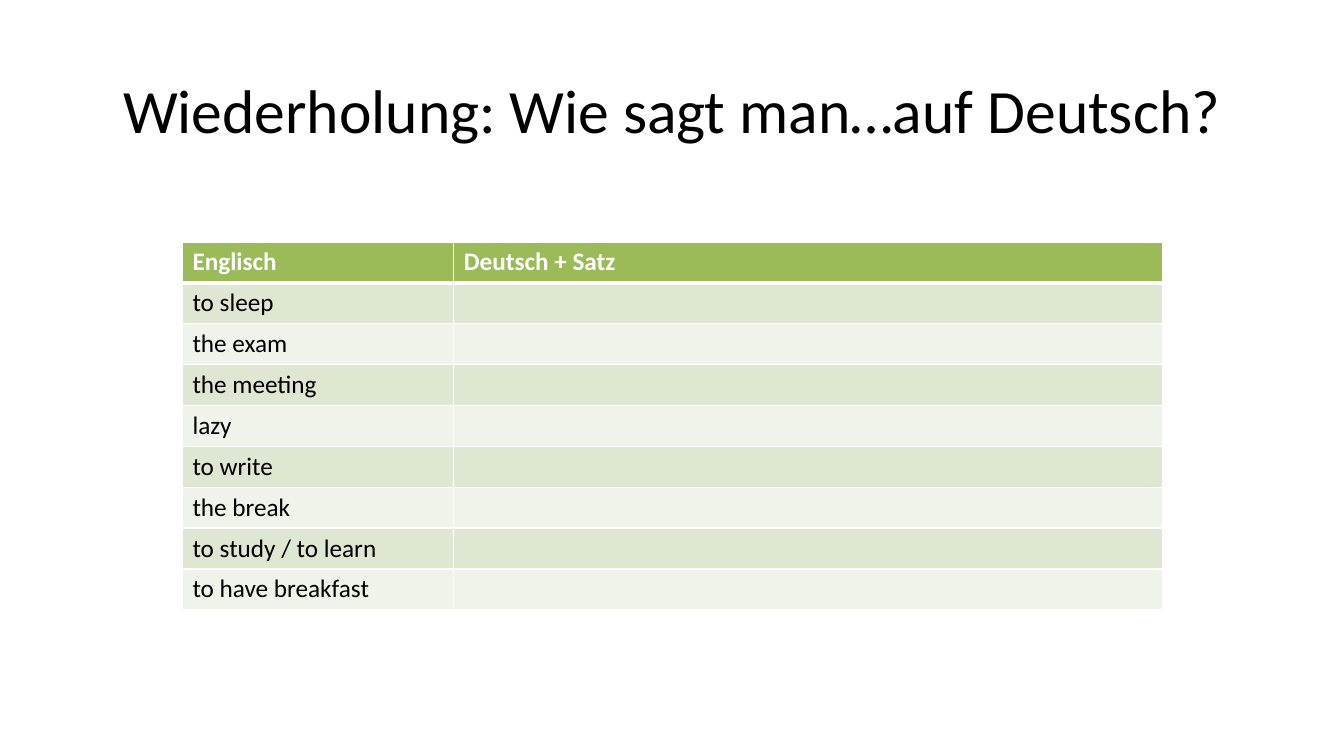
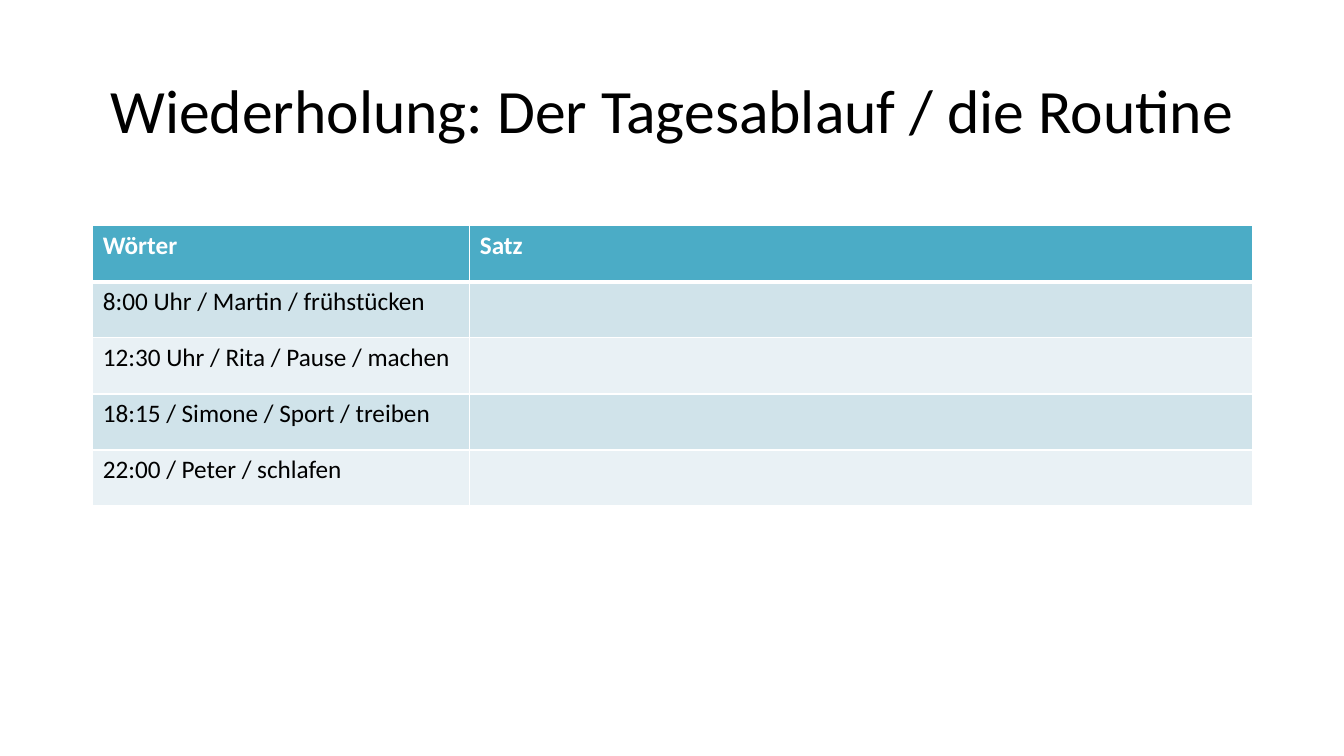
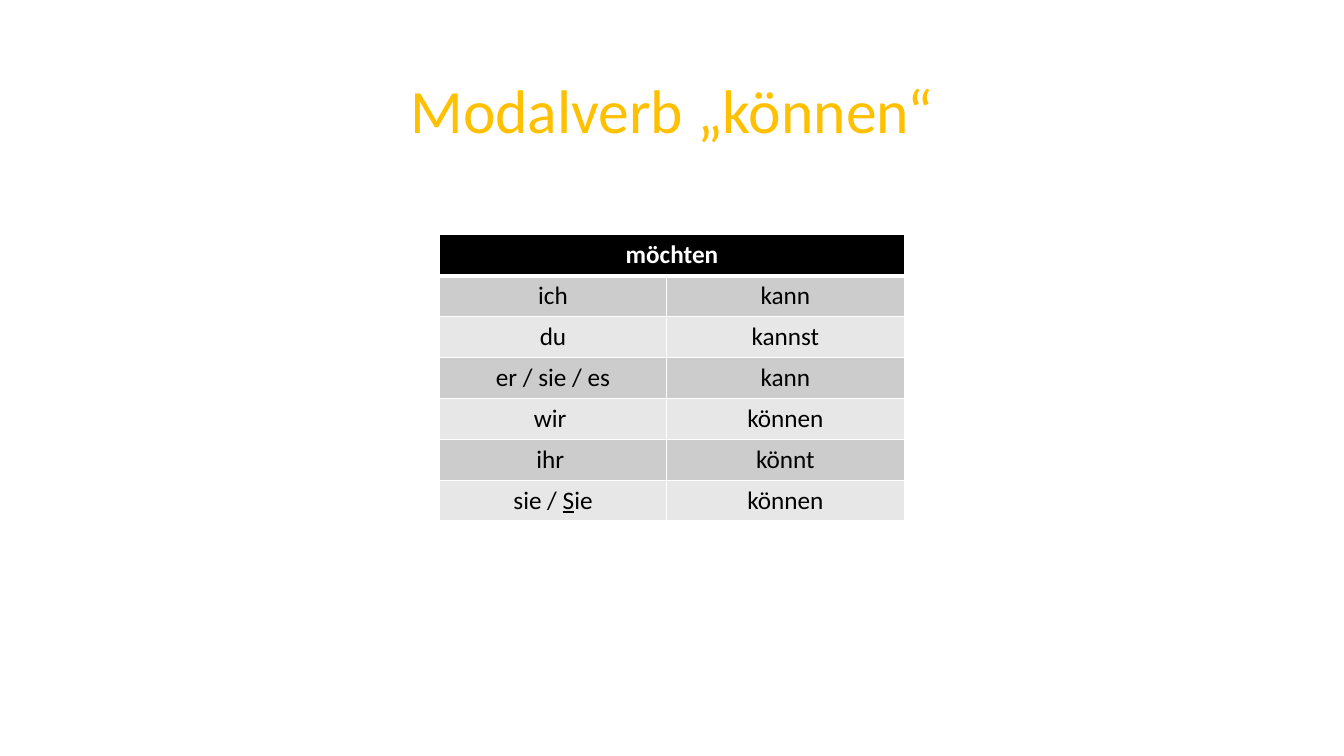
from lxml import etree
from pptx import Presentation
from pptx.dml.color import RGBColor
from pptx.enum.text import MSO_ANCHOR, PP_ALIGN
from pptx.oxml.ns import qn
from pptx.util import Pt

PX = 9144  # EMU: 100 px to the inch
LEFT, CENTER = PP_ALIGN.LEFT, PP_ALIGN.CENTER
MIDDLE = MSO_ANCHOR.MIDDLE

FONT = "Calibri"
TITLE_SIZE, CELL_SIZE = 44, 18
TITLE_BOX = (92, 40, 1150, 145)
TITLE_ONLY = 5
THIN, THICK = 1, 3

BLACK = RGBColor(0x00, 0x00, 0x00)
WHITE = RGBColor(0xFF, 0xFF, 0xFF)
GOLD = RGBColor(0xFF, 0xC0, 0x00)

# Table palettes: header, odd rows, even rows
GREEN = (RGBColor(0x9B, 0xBB, 0x59), RGBColor(0xDE, 0xE7, 0xD1), RGBColor(0xEF, 0xF3, 0xEA))
AQUA = (RGBColor(0x4B, 0xAC, 0xC6), RGBColor(0xD0, 0xE3, 0xEA), RGBColor(0xE9, 0xF1, 0xF5))
GREY = (BLACK, RGBColor(0xCC, 0xCC, 0xCC), RGBColor(0xE7, 0xE7, 0xE7))

ENGLISH_WORDS = ["to sleep", "the exam", "the meeting", "lazy", "to write",
                 "the break", "to study / to learn", "to have breakfast"]
ROUTINE_PROMPTS = ["8:00 Uhr / Martin / frühstücken", "12:30 Uhr / Rita / Pause / machen",
                   "18:15 / Simone / Sport / treiben", "22:00 / Peter / schlafen"]
# The part between underscores is underlined
CONJUGATION = [("ich", "kann"), ("du", "kannst"), ("er / sie / es", "kann"),
               ("wir ", "können"), ("ihr ", "könnt"), ("sie / _S_ie", "können")]


def add_run(paragraph, text, size, color, bold=False, underline=False):
    run = paragraph.add_run()
    run.text = text
    font = run.font
    font.name, font.size, font.bold = FONT, Pt(size), bold
    font.color.rgb = color
    if underline:
        font.underline = True


def place(shape, box):
    shape.left, shape.top, shape.width, shape.height = (length * PX for length in box)


def add_titled_slide(prs, title, color=BLACK):
    slide = prs.slides.add_slide(prs.slide_layouts[TITLE_ONLY])
    heading = slide.shapes.title
    place(heading, TITLE_BOX)
    frame = heading.text_frame
    frame.vertical_anchor = MIDDLE
    paragraph = frame.paragraphs[0]
    paragraph.alignment = CENTER
    paragraph.line_spacing = 0.9
    add_run(paragraph, title, TITLE_SIZE, color)
    return slide


def set_borders(cell, top, bottom):
    """Draw white edges; they must come before the fill in the cell properties."""
    properties = cell._tc.get_or_add_tcPr()
    edges = (("a:lnL", THIN), ("a:lnR", THIN), ("a:lnT", top), ("a:lnB", bottom))
    for position, (tag, width) in enumerate(edges):
        line = etree.Element(qn(tag), w=str(Pt(width)))
        fill = etree.SubElement(line, qn("a:solidFill"))
        etree.SubElement(fill, qn("a:srgbClr"), val=str(WHITE))
        properties.insert(position, line)


def fill_cell(cell, text, row, palette, align):
    header = row == 0
    cell.fill.solid()
    cell.fill.fore_color.rgb = palette[0] if header else palette[2 - row % 2]
    set_borders(cell, THICK if row == 1 else THIN, THICK if header else THIN)
    paragraph = cell.text_frame.paragraphs[0]
    paragraph.alignment = align
    for part, piece in enumerate(text.split("_")):
        if piece:
            add_run(paragraph, piece, CELL_SIZE, WHITE if header else BLACK,
                    bold=header, underline=part % 2 == 1)


def add_word_table(slide, box, first_width, rows, palette, align=LEFT):
    """Two columns; a header row with one entry spans both."""
    left, top, width, height = (length * PX for length in box)
    table = slide.shapes.add_table(len(rows), 2, left, top, width, height).table
    table.columns[0].width = first_width * PX
    table.columns[1].width = width - first_width * PX
    if len(rows[0]) == 1:
        table.cell(0, 0).merge(table.cell(0, 1))
    for row, texts in enumerate(rows):
        table.rows[row].height = height // len(rows)
        for column, text in enumerate(texts):
            fill_cell(table.cell(row, column), text, row, palette, align)


def with_blank_answers(header, prompts):
    return [header] + [(prompt, "") for prompt in prompts]


def main():
    prs = Presentation()
    prs.slide_width, prs.slide_height = 1333 * PX, 750 * PX

    vocabulary = add_titled_slide(prs, "Wiederholung: Wie sagt man…auf Deutsch?")
    add_word_table(vocabulary, (181, 240, 972, 365), 269,
                   with_blank_answers(("Englisch", "Deutsch + Satz"), ENGLISH_WORDS), GREEN)

    routine = add_titled_slide(prs, "Wiederholung: Der Tagesablauf / die Routine")
    add_word_table(routine, (92, 224, 1150, 278), 374,
                   with_blank_answers(("Wörter", "Satz"), ROUTINE_PROMPTS), AQUA)

    modal_verb = add_titled_slide(prs, "Modalverb „können“", GOLD)
    add_word_table(modal_verb, (436, 233, 461, 284), 225,
                   [("möchten",)] + CONJUGATION, GREY, CENTER)

    prs.save("out.pptx")


if __name__ == "__main__":
    main()
